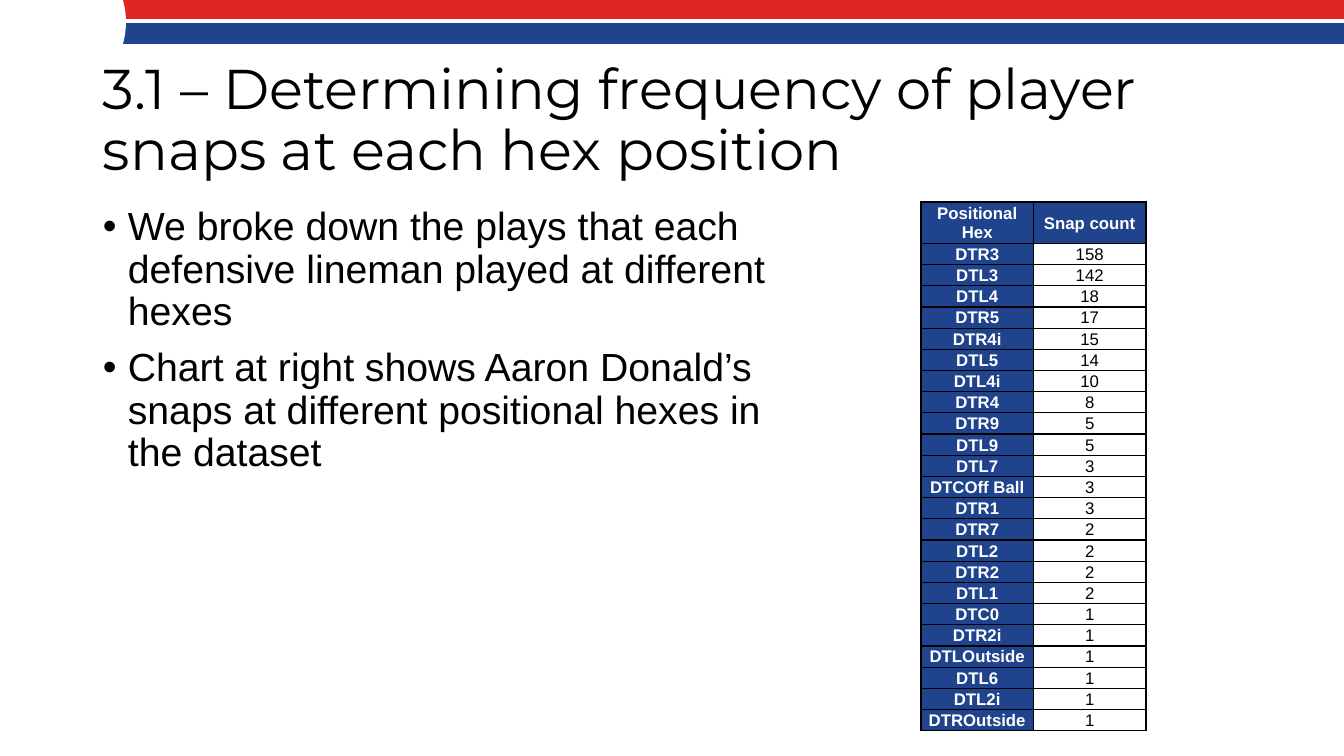
"""Build a slide on how often a lineman snaps at each positional hex."""
from lxml import etree
from pptx import Presentation
from pptx import util as u
from pptx.dml.color import RGBColor
from pptx.enum import shapes, text
from pptx.oxml import ns

TITLE = "3.1 – Determining frequency of player snaps at each hex position"
BULLETS = [
    "We broke down the plays that each defensive lineman played at different hexes",
    "Chart at right shows Aaron Donald’s snaps at different positional hexes in the dataset",
]
SNAPS = [
    ("Positional Hex", "Snap count"),
    ("DTR3", 158), ("DTL3", 142), ("DTL4", 18), ("DTR5", 17), ("DTR4i", 15),
    ("DTL5", 14), ("DTL4i", 10), ("DTR4", 8), ("DTR9", 5), ("DTL9", 5),
    ("DTL7", 3), ("DTCOff Ball", 3), ("DTR1", 3), ("DTR7", 2), ("DTL2", 2),
    ("DTR2", 2), ("DTL1", 2), ("DTC0", 1), ("DTR2i", 1), ("DTLOutside", 1),
    ("DTL6", 1), ("DTL2i", 1), ("DTROutside", 1),
]
COLORS = {"red": "E02624", "blue": "1F438C", "white": "FFFFFF", "black": "000000"}
KIND = shapes.MSO_SHAPE
BANNER = [
    (KIND.RECTANGLE, "red", (71, -2, 1273, 31)),
    (KIND.RECTANGLE, "blue", (71, 21, 1273, 23)),
    (KIND.OVAL, "white", (-34, -58, 160, 160)),
]
BANNER_LINE = (126, 21, 1344, 21)
TITLE_BOX = (93, 49, 1159, 146)
BODY_BOX = (93, 202, 712, 480)
TABLE_BOX = (921, 202, 225, 501)
INDENT = 25


def px(length):
    return u.Emu(round(length * 914400 / 100.8))


def box(lengths):
    return [px(length) for length in lengths]


def color(name):
    return RGBColor.from_string(COLORS[name])


def style(paragraph, size, font, ink, bold=False):
    for run in paragraph.runs:
        run.font.size = u.Pt(size)
        run.font.name = font
        run.font.bold = bold
        run.font.color.rgb = color(ink)


def add_banner(slide):
    for kind, fill, place in BANNER:
        shape = slide.shapes.add_shape(kind, *box(place))
        shape.shadow.inherit = False
        shape.fill.solid()
        shape.fill.fore_color.rgb = color(fill)
        shape.line.fill.background()
    line = slide.shapes.add_connector(shapes.MSO_CONNECTOR.STRAIGHT, *box(BANNER_LINE))
    line.line.color.rgb = color("white")
    line.line.width = u.Pt(2.25)
    etree.SubElement(line._element.spPr, ns.qn("a:effectLst"))


def add_text(slide, place, lines, size, font, anchor):
    frame = slide.shapes.add_textbox(*box(place)).text_frame
    frame.word_wrap = True
    frame.vertical_anchor = anchor
    frame.text = "\n".join(lines)
    for paragraph in frame.paragraphs:
        paragraph.line_spacing = 0.9
        style(paragraph, size, font, "black")
    return frame


def add_bullets(frame):
    for paragraph in frame.paragraphs:
        paragraph.space_before = u.Pt(10)
        properties = paragraph._p.get_or_add_pPr()
        properties.set("marL", str(px(INDENT)))
        properties.set("indent", str(-px(INDENT)))
        etree.SubElement(properties, ns.qn("a:buFont"), typeface="Arial")
        etree.SubElement(properties, ns.qn("a:buChar"), char="•")


def add_borders(cell):
    properties = cell._tc.get_or_add_tcPr()
    for position, side in enumerate(("lnL", "lnR", "lnT", "lnB")):
        border = etree.Element(ns.qn(f"a:{side}"), w=str(u.Pt(1)))
        fill = etree.SubElement(border, ns.qn("a:solidFill"))
        etree.SubElement(fill, ns.qn("a:srgbClr"), val=COLORS["black"])
        properties.insert(position, border)


def fill_cell(cell, value, heading):
    cell.text = str(value)
    cell.margin_left = cell.margin_right = cell.margin_top = px(1)
    cell.margin_bottom = 0
    cell.vertical_anchor = text.MSO_ANCHOR.MIDDLE
    cell.fill.solid()
    cell.fill.fore_color.rgb = color("blue" if heading else "white")
    paragraph = cell.text_frame.paragraphs[0]
    paragraph.alignment = text.PP_ALIGN.CENTER
    style(paragraph, 12, "Arial", "white" if heading else "black", heading)
    add_borders(cell)


def add_snap_table(slide):
    table = slide.shapes.add_table(len(SNAPS), len(SNAPS[0]), *box(TABLE_BOX)).table
    for row, values in enumerate(SNAPS):
        for column, value in enumerate(values):
            fill_cell(table.cell(row, column), value, row == 0 or column == 0)


def main():
    presentation = Presentation()
    presentation.slide_width, presentation.slide_height = px(1344), px(756)
    slide = presentation.slides.add_slide(presentation.slide_layouts[6])
    add_banner(slide)
    add_text(slide, TITLE_BOX, [TITLE], 40, "Montserrat", text.MSO_ANCHOR.MIDDLE)
    add_bullets(add_text(slide, BODY_BOX, BULLETS, 28, "Arial", text.MSO_ANCHOR.TOP))
    add_snap_table(slide)
    presentation.save("out.pptx")


if __name__ == "__main__":
    main()
